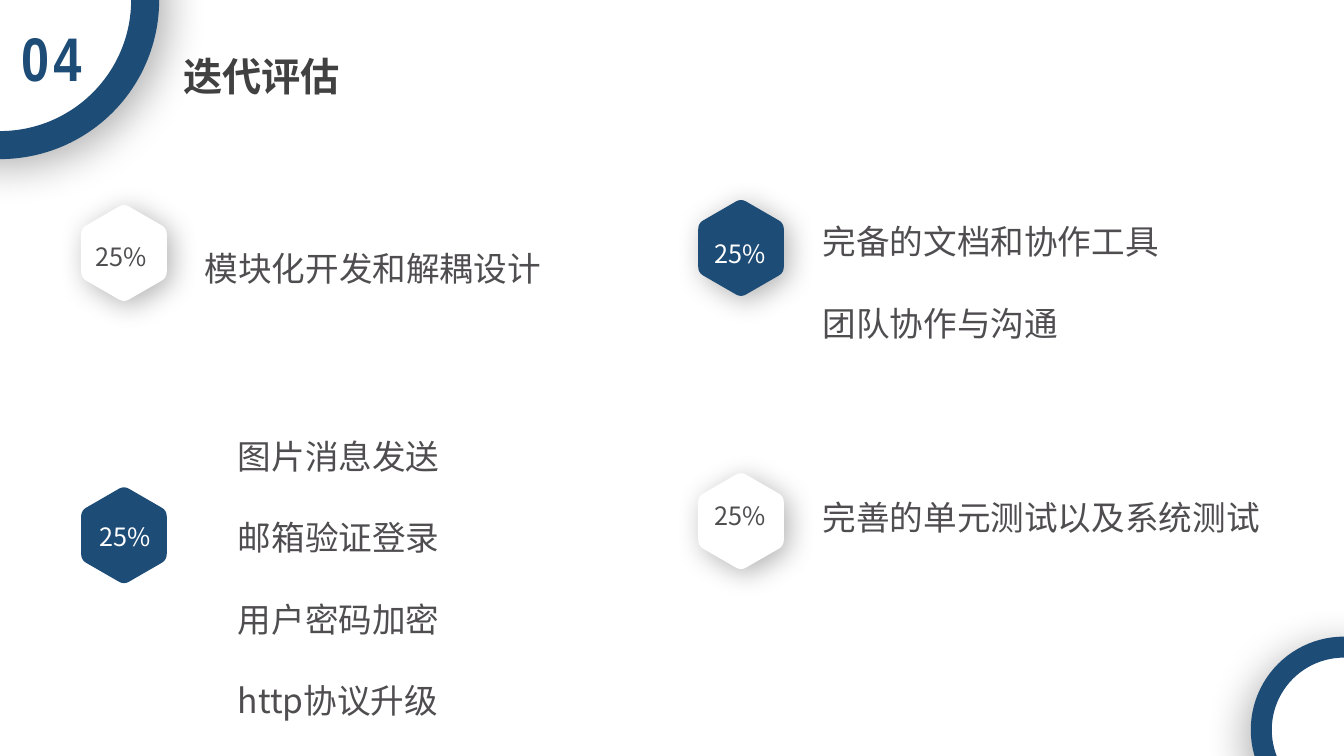
"""Build the iteration review slide with four hexagon markers."""
import math

from lxml import etree
from pptx import Presentation
from pptx import util as u
from pptx.dml.color import RGBColor
from pptx.enum import shapes, text
from pptx.oxml import ns

PX = 9144
NAVY = RGBColor(0x1D, 0x4C, 0x77)
WHITE = RGBColor(0xFF, 0xFF, 0xFF)
GREY = RGBColor(0x4F, 0x4D, 0x50)
DARK = RGBColor(0x41, 0x41, 0x41)
BLACK = RGBColor(0, 0, 0)
FONT = "Noto Sans CJK SC"
HEX_RADIUS = 49
HEX_CUT = 6
CURVE_STEPS = 8


def place(shape, left, top, width, height):
    shape.left, shape.top = left * PX, top * PX
    shape.width, shape.height = width * PX, height * PX


def add_shadow(shape, blur, distance, angle):
    effects = shape._element.spPr.find(ns.qn("a:effectLst"))
    shadow = etree.SubElement(
        effects, ns.qn("a:outerShdw"), blurRad=str(u.Pt(blur)),
        dist=str(u.Pt(distance)), dir=str(angle * 60000),
        algn="ctr", rotWithShape="0")
    color = etree.SubElement(shadow, ns.qn("a:srgbClr"), val=str(BLACK))
    etree.SubElement(color, ns.qn("a:alpha"), val="30000")


def style_font(para, size, color, name=FONT, bold=False):
    font = para.font
    font.name, font.size, font.bold = name, u.Pt(size), bold
    font.color.rgb = color
    font._element.find(ns.qn("a:latin")).addnext(
        etree.Element(ns.qn("a:ea"), typeface=FONT))


def clear_margins(frame):
    frame.margin_left = frame.margin_right = 0
    frame.margin_top = frame.margin_bottom = 0


def add_text(page, box, words, size, color, spacing, wrap=True):
    holder = page.shapes.add_textbox(*(n * PX for n in box))
    frame = holder.text_frame
    clear_margins(frame)
    frame.word_wrap = wrap
    para = frame.paragraphs[0]
    para.text = words
    para.line_spacing = u.Pt(spacing)
    style_font(para, size, color)


def fill_list(body, box, items):
    place(body, *box)
    frame = body.text_frame
    clear_margins(frame)
    frame.auto_size = text.MSO_AUTO_SIZE.NONE
    frame.vertical_anchor = text.MSO_ANCHOR.TOP
    frame.text = "\n".join(items)
    for para in frame.paragraphs:
        props = para._p.get_or_add_pPr()
        props.set("marL", "0")
        props.set("indent", "0")
        etree.SubElement(props, ns.qn("a:buNone"))
        para.alignment = text.PP_ALIGN.JUSTIFY
        para.space_before = u.Pt(0)
        para.line_spacing = u.Pt(58)
        style_font(para, 24, GREY)


def hexagon_points(center_x, center_y):
    corners = [(center_x + HEX_RADIUS * math.sin(math.radians(turn)),
                center_y - HEX_RADIUS * math.cos(math.radians(turn)))
               for turn in range(0, 360, 60)]
    share = HEX_CUT / HEX_RADIUS
    points = []
    for index, corner in enumerate(corners):
        before, after = corners[index - 1], corners[(index + 1) % 6]
        for step in range(CURVE_STEPS + 1):
            t = step / CURVE_STEPS
            points.append(tuple(
                (c + share * ((1 - t) ** 2 * (b - c) + t ** 2 * (a - c))) * PX
                for b, c, a in zip(before, corner, after)))
    return points


def add_hexagon(page, center, fill, shadow=True):
    points = hexagon_points(*center)
    builder = page.shapes.build_freeform(*points[0])
    builder.add_line_segments(points[1:], close=True)
    hexagon = builder.convert_to_shape()
    hexagon.fill.solid()
    hexagon.fill.fore_color.rgb = fill
    hexagon.line.fill.background()
    hexagon.shadow.inherit = False
    if shadow:
        add_shadow(hexagon, 20, 5, 45)


def add_ring(page, left, top, size, weight, angle):
    ring = page.shapes.add_shape(
        shapes.MSO_SHAPE.OVAL, left * PX, top * PX, size * PX, size * PX)
    ring.fill.solid()
    ring.fill.fore_color.rgb = WHITE
    ring.line.color.rgb = NAVY
    ring.line.width = u.Pt(weight)
    ring.shadow.inherit = False
    add_shadow(ring, 30, 8, angle)


def add_section_number(page):
    box = page.shapes.add_textbox(0, 15 * PX, 102 * PX, 84 * PX)
    box.text_frame.word_wrap = True
    para = box.text_frame.paragraphs[0]
    para.text = "04"
    para.alignment = text.PP_ALIGN.CENTER
    style_font(para, 44, NAVY, "Arial Narrow", True)
    para.font._element.set("spc", "300")


def fill_title(title):
    place(title, 172, 47, 177, 57)
    frame = title.text_frame
    frame.auto_size = text.MSO_AUTO_SIZE.NONE
    frame.word_wrap = False
    frame.vertical_anchor = text.MSO_ANCHOR.MIDDLE
    para = frame.paragraphs[0]
    para.text = "迭代评估"
    para.alignment = text.PP_ALIGN.LEFT
    style_font(para, 28, DARK, "Calibri", True)


def main():
    deck = Presentation()
    deck.slide_width, deck.slide_height = u.Inches(13.33), u.Inches(7.5)
    page = deck.slides.add_slide(deck.slide_layouts[3])
    fill_title(page.shapes.title)
    fill_list(page.placeholders[1], (816, 179, 500, 149),
              ["完备的文档和协作工具", "团队协作与沟通"])
    fill_list(page.placeholders[2], (236, 392, 473, 311),
              ["图片消息发送", "邮箱验证登录", "用户密码加密", "http协议升级"])
    add_text(page, (203, 205, 403, 69), "模块化开发和解耦设计", 24, GREY, 58)
    add_text(page, (816, 505, 452, 29), "完善的单元测试以及系统测试", 24, GREY, 20)

    markers = [
        ((123, 251), WHITE, GREY, True, (95, 239)),
        ((735, 246), NAVY, WHITE, True, (709, 236)),
        ((123, 531), NAVY, WHITE, False, (99, 517)),
        ((735, 517), WHITE, GREY, True, (709, 496)),
    ]
    for center, fill, ink, shadow, corner in markers:
        add_hexagon(page, center, fill, shadow)
        add_text(page, (*corner, 52, 30), "25%", 18, ink, 22, wrap=False)

    add_ring(page, -144, -144, 288, 20, 45)
    add_ring(page, 1251, 642, 164, 15, 125)
    add_section_number(page)
    deck.save("out.pptx")


if __name__ == "__main__":
    main()
